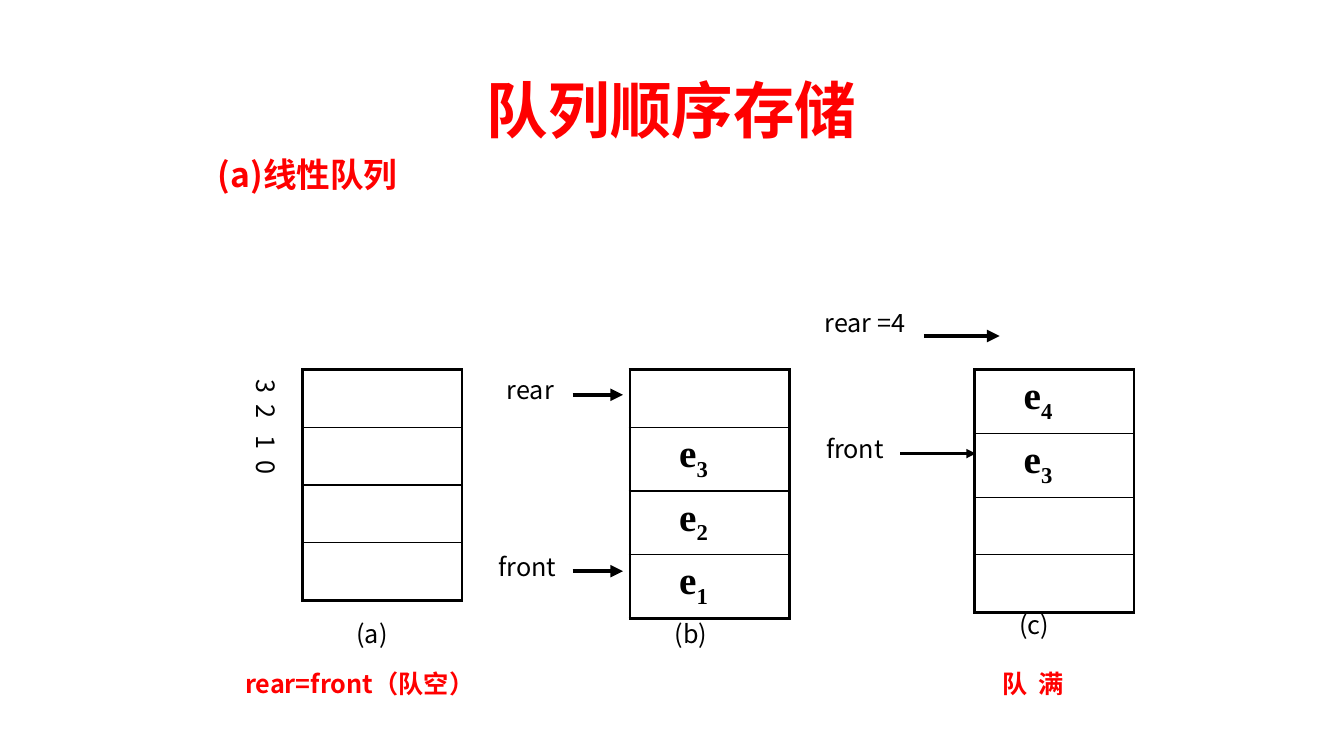
from lxml.etree import SubElement
from pptx import Presentation
from pptx.dml.color import RGBColor
from pptx.enum.shapes import MSO_CONNECTOR
from pptx.enum.text import MSO_ANCHOR, PP_ALIGN
from pptx.oxml.ns import qn
from pptx.util import Pt

RED = RGBColor(0xFF, 0x00, 0x00)
BLACK = RGBColor(0x00, 0x00, 0x00)
SANS = "Noto Sans CJK SC"
TITLE = "Noto Sans CJK JP"
SERIF = "Times New Roman"


class Board:
    thick, thin = 2.25, 1
    wide, full, bare = 114, 45.6, 41.2
    inset, shift = 7.2, 12

    def __init__(self, slide):
        self.slide = slide

    def style(self, para, size, color, bold, face):
        font = para.font
        font.size, font.bold, font.name = Pt(size), bold, face
        font.color.rgb = color
        props = para._p.pPr.find(qn("a:defRPr"))
        SubElement(props, qn("a:ea"), typeface=face)

    def text(self, words, left, top, width, height=28.8, size=18,
             color=BLACK, bold=False, face=SANS, tabs=()):
        box = self.slide.shapes.add_textbox(
            Pt(left), Pt(top), Pt(width), Pt(height))
        frame = box.text_frame
        frame.word_wrap = True
        para = frame.paragraphs[0]
        para.add_run().text = words
        if tabs:
            stops = SubElement(para._p.get_or_add_pPr(), qn("a:tabLst"))
            for stop in tabs:
                SubElement(stops, qn("a:tab"), pos=str(Pt(stop)), algn="l")
        self.style(para, size, color, bold, face)
        return frame

    def title(self, words):
        frame = self.text(words, 66, 28.8, 828, 104.4, 44, RED, True, TITLE)
        frame.vertical_anchor = MSO_ANCHOR.MIDDLE
        para = frame.paragraphs[0]
        para.alignment = PP_ALIGN.CENTER
        para.line_spacing = 0.9

    def index(self, left, top):
        frame = self.text("3\t2\t1\t0", left, top, 36, 162, tabs=(18, 40, 58))
        frame._txBody.bodyPr.set("vert", "eaVert")

    def edge(self, cell, side, width):
        line = SubElement(cell._tc.get_or_add_tcPr(), qn("a:" + side),
                          w=str(Pt(width)))
        fill = SubElement(line, qn("a:solidFill"))
        SubElement(fill, qn("a:srgbClr"), val=str(BLACK))

    def item(self, cell, digit):
        para = cell.text_frame.paragraphs[0]
        para.add_run().text = "e"
        sub = para.add_run()
        sub.text = digit
        sub._r.get_or_add_rPr().set("baseline", "-25000")
        self.style(para, 28, BLACK, True, SERIF)
        cell.margin_left = Pt(self.inset + 28)

    def queue(self, left, top, items):
        highs = [self.full if item else self.bare for item in items]
        table = self.slide.shapes.add_table(
            len(items), 1, Pt(left), Pt(top),
            Pt(self.wide), Pt(sum(highs))).table
        table.first_row = table.horz_banding = False
        last = len(items) - 1
        for row, (item, high) in enumerate(zip(items, highs)):
            table.rows[row].height = Pt(high)
            cell = table.cell(row, 0)
            self.edge(cell, "lnL", self.thick)
            self.edge(cell, "lnR", self.thick)
            self.edge(cell, "lnT", self.thin if row else self.thick)
            self.edge(cell, "lnB", self.thin if row < last else self.thick)
            cell.fill.background()
            if item:
                self.item(cell, item)

    def arrow(self, left, top, length, width=3):
        link = self.slide.shapes.add_connector(
            MSO_CONNECTOR.STRAIGHT, Pt(left), Pt(top),
            Pt(left + length), Pt(top))
        link.line.color.rgb = BLACK
        link.line.width = Pt(width)
        SubElement(link.line._get_or_add_ln(), qn("a:tailEnd"),
                   type="triangle")
        SubElement(link._element.spPr, qn("a:effectLst"))


def main():
    deck = Presentation()
    deck.slide_width, deck.slide_height = Pt(960), Pt(540)
    board = Board(deck.slides.add_slide(deck.slide_layouts[6]))

    board.title("队列顺序存储")
    board.text("(a)线性队列", 148.5, 106.5, 258, 36, 24, RED, True)

    for left, items in ((696, ("4", "3", "", "")),
                        (450, ("", "3", "2", "1")),
                        (216, ("", "", "", ""))):
        board.queue(left, 264, items)
    board.index(169, 252 + board.shift)

    for name, left, top in (("(a)", 235.5, 438), ("(b)", 463, 438),
                            ("(c)", 709, 432)):
        board.text(name, left + board.shift, top, 72)

    board.text("rear=front（队空）", 168, 474, 204, color=RED, bold=True)
    board.text("队\t满", 697 + board.shift, 474, 108, color=RED, bold=True,
               tabs=(26,))

    for name, left, top, width in (("rear", 355, 264, 60),
                                   ("front", 349, 390, 78),
                                   ("rear =4", 582, 216, 90),
                                   ("front", 583, 306, 78)):
        board.text(name, left, top, width)

    board.arrow(409, 282, 36)
    board.arrow(409, 408, 36)
    board.arrow(643, 324, 54, 2.25)
    board.arrow(660, 240, 54)
    deck.save("out.pptx")


if __name__ == "__main__":
    main()
